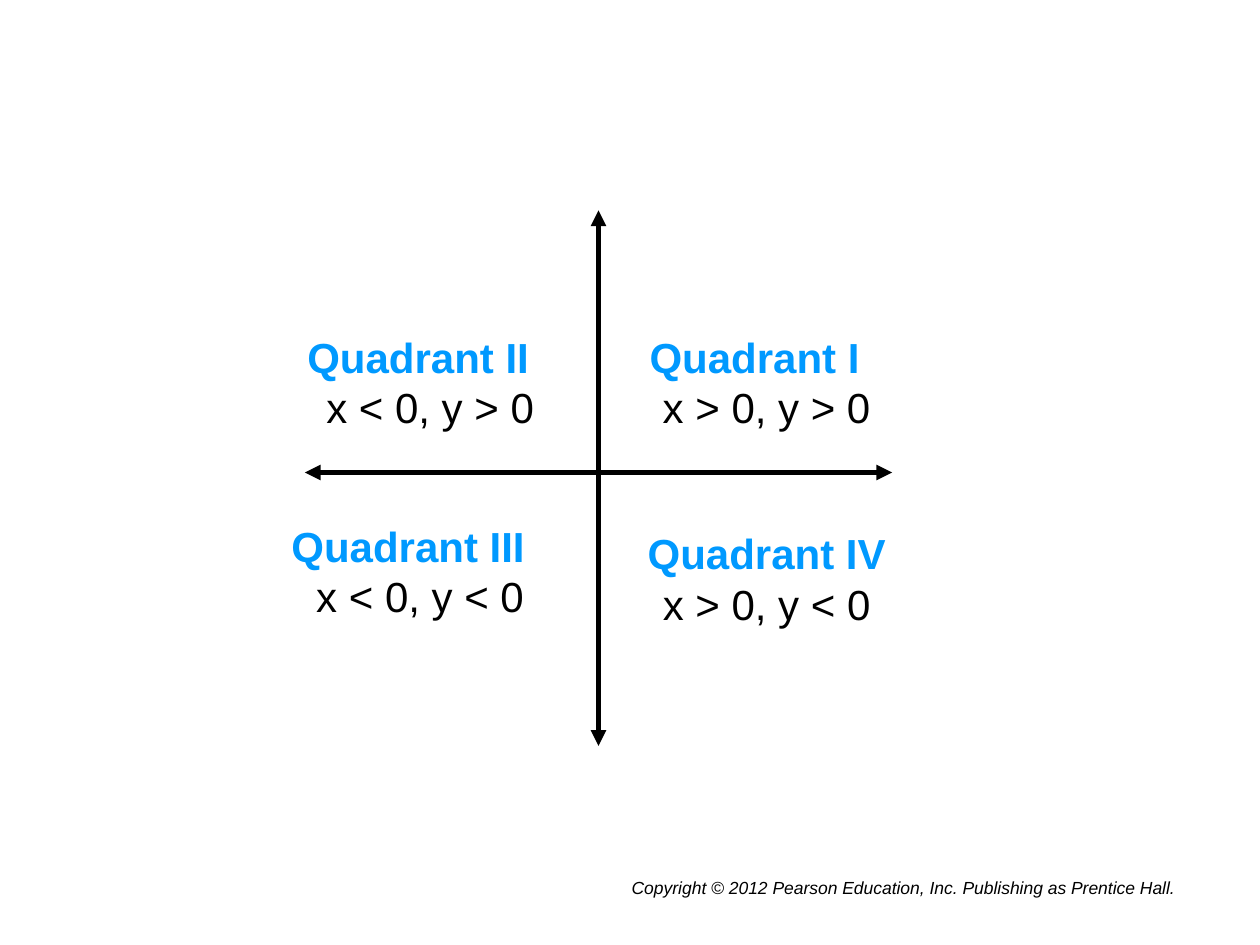
from dataclasses import dataclass

from lxml.etree import SubElement
from pptx import Presentation
from pptx.dml.color import RGBColor
from pptx.enum.shapes import MSO_CONNECTOR, MSO_SHAPE
from pptx.enum.text import MSO_ANCHOR, PP_ALIGN
from pptx.oxml.ns import qn
from pptx.util import Inches, Pt


@dataclass(frozen=True)
class Theme:
    """Colours, font and sizes of the slide."""
    ink: RGBColor = RGBColor(0, 0, 0)
    accent: RGBColor = RGBColor(0x00, 0x99, 0xFF)
    paper: RGBColor = RGBColor(0xFF, 0xFF, 0xFF)
    font: str = "Arial"
    label_size: Pt = Pt(24)
    label_leading: Pt = Pt(28.8)
    footer_size: Pt = Pt(10)
    axis_width: Pt = Pt(3)


THEME = Theme()


def add_span(para, text, size, color, bold=False, italic=False):
    """Add one styled run to a paragraph."""
    span = para.add_run()
    span.text = text
    font = span.font
    font.name, font.size, font.bold, font.italic = THEME.font, size, bold, italic
    font.color.rgb = color


def add_axis(page, start_x, start_y, end_x, end_y):
    """Draw an axis with an arrowhead at each end."""
    axis = page.shapes.add_connector(
        MSO_CONNECTOR.STRAIGHT,
        Inches(start_x), Inches(start_y), Inches(end_x), Inches(end_y))
    axis.line.color.rgb = THEME.ink
    axis.line.width = THEME.axis_width
    outline = axis.line._get_or_add_ln()
    for end in ("a:headEnd", "a:tailEnd"):
        SubElement(outline, qn(end), type="triangle")
    SubElement(axis._element.spPr, qn("a:effectLst"))


def add_quadrant(page, left, top, width, height, name, signs, indent):
    """Place a quadrant name above its signs, which are centred in the box."""
    box = page.shapes.add_shape(
        MSO_SHAPE.RECTANGLE,
        Inches(left), Inches(top), Inches(width), Inches(height))
    box.shadow.inherit = False
    box.fill.solid()
    box.fill.fore_color.rgb = THEME.paper
    box.line.fill.background()
    frame = box.text_frame
    frame.word_wrap = True
    frame.vertical_anchor = MSO_ANCHOR.TOP
    frame.margin_right = Inches(0.1 + indent)
    heading, condition = frame.paragraphs[0], frame.add_paragraph()
    condition._p.get_or_add_pPr().set("marL", str(Inches(indent)))
    for para in (heading, condition):
        para.alignment = PP_ALIGN.CENTER
        para.line_spacing = THEME.label_leading
    add_span(heading, name, THEME.label_size, THEME.accent, bold=True)
    add_span(condition, signs, THEME.label_size, THEME.ink)


def add_footer(page, left, top, width, height, text):
    """Place the copyright line at the bottom right of the box."""
    box = page.shapes.add_textbox(
        Inches(left), Inches(top), Inches(width), Inches(height))
    frame = box.text_frame
    frame.word_wrap = True
    frame.vertical_anchor = MSO_ANCHOR.BOTTOM
    para = frame.paragraphs[0]
    para.alignment = PP_ALIGN.RIGHT
    add_span(para, text, THEME.footer_size, THEME.ink, italic=True)


def add_plane(page, left, top, width, height):
    """Draw the coordinate plane with its four labelled quadrants."""
    middle_x = left + width / 2
    axis_y = top + 2.08
    add_axis(page, left, axis_y, left + width, axis_y)
    quadrants = (
        (2.25, 0.91, "Quadrant I", "x > 0, y > 0", 0.19),
        (-0.42, 0.91, "Quadrant II", "x < 0, y > 0", 0.19),
        (-0.5, 2.41, "Quadrant III", "x < 0, y < 0", 0.19),
        (2.25, 2.47, "Quadrant IV", "x > 0, y < 0", 0),
    )
    for shift_x, shift_y, name, signs, indent in quadrants:
        add_quadrant(page, left + shift_x, top + shift_y, 2.83, 0.9,
                     name, signs, indent)
    add_axis(page, middle_x, top, middle_x, top + height)


def main():
    """Build the slide and save it."""
    deck = Presentation()
    deck.slide_width, deck.slide_height = Inches(10), Inches(7.5)
    page = deck.slides.add_slide(deck.slide_layouts[6])
    page.background.fill.solid()
    page.background.fill.fore_color.rgb = THEME.paper
    add_footer(page, 4.42, 6.58, 5, 0.6,
               "Copyright © 2012 Pearson Education, Inc. Publishing as Prentice Hall.")
    add_plane(page, 2.42, 1.67, 4.66, 4.25)
    deck.save("out.pptx")


if __name__ == "__main__":
    main()
